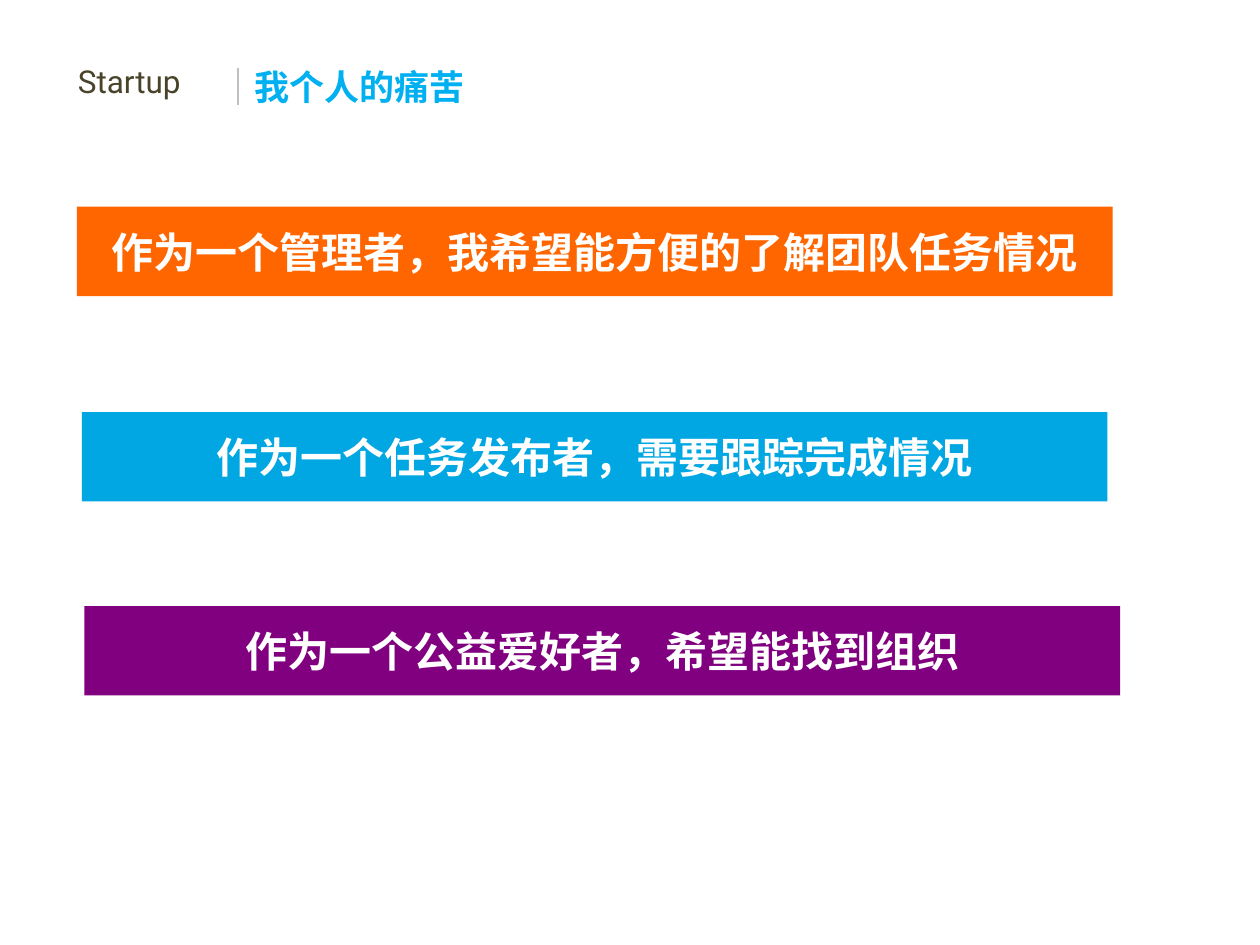
from lxml import etree
from pptx import Presentation
from pptx.dml.color import RGBColor
from pptx.enum.shapes import MSO_CONNECTOR, MSO_SHAPE
from pptx.enum.text import MSO_ANCHOR, PP_ALIGN
from pptx.oxml.ns import qn
from pptx.util import Inches, Pt

RECTANGLE = MSO_SHAPE.RECTANGLE
STRAIGHT = MSO_CONNECTOR.STRAIGHT
MIDDLE = MSO_ANCHOR.MIDDLE
LEFT, CENTER = PP_ALIGN.LEFT, PP_ALIGN.CENTER
TITLE_ONLY = 5


def color(value):
    return RGBColor.from_string(value)


class SlideBuilder:
    latin_font = "Roboto"
    chinese_font = "Noto Sans CJK SC"
    bar_height = 0.71

    def __init__(self, slide):
        self.slide = slide

    def set_text(self, shape, text, size, text_color, font, bold=False, align=LEFT):
        """Put one styled paragraph into a shape."""
        frame = shape.text_frame
        frame.text = text
        frame.word_wrap = True
        paragraph = frame.paragraphs[0]
        paragraph.alignment = align
        run = paragraph.runs[0]
        run.font.size = Pt(size)
        run.font.bold = bold
        run.font.name = font
        run.font.color.rgb = color(text_color)
        east_asian = etree.Element(qn("a:ea"), typeface=font)
        run.font._element.find(qn("a:latin")).addnext(east_asian)

    def title(self, text, left, top, width, height):
        title = self.slide.shapes.title
        title.left, title.top = Inches(left), Inches(top)
        title.width, title.height = Inches(width), Inches(height)
        self.set_text(title, text, 20, "00B0F0", self.chinese_font, bold=True)
        title.text_frame.vertical_anchor = MIDDLE

    def label(self, text, left, top, width, height):
        box = self.slide.shapes.add_textbox(
            Inches(left), Inches(top), Inches(width), Inches(height))
        self.set_text(box, text, 18, "494429", self.latin_font)

    def divider(self, x, top, bottom):
        line = self.slide.shapes.add_connector(
            STRAIGHT, Inches(x), Inches(top), Inches(x), Inches(bottom))
        line.line.color.rgb = color("BFBFBF")
        line.line.width = Pt(0.75)
        etree.SubElement(line._element.spPr, qn("a:effectLst"))

    def bar(self, text, left, top, width, fill):
        bar = self.slide.shapes.add_shape(
            RECTANGLE, Inches(left), Inches(top), Inches(width), Inches(self.bar_height))
        bar.shadow.inherit = False
        bar.fill.solid()
        bar.fill.fore_color.rgb = color(fill)
        bar.line.fill.background()
        self.set_text(bar, text, 24, "FFFFFF", self.chinese_font, bold=True, align=CENTER)
        bar.text_frame.vertical_anchor = MIDDLE


def main():
    presentation = Presentation()
    presentation.slide_width, presentation.slide_height = Inches(10), Inches(7.5)
    slide = presentation.slides.add_slide(presentation.slide_layouts[TITLE_ONLY])
    builder = SlideBuilder(slide)

    builder.divider(1.89, 0.54, 0.83)
    builder.label("Startup", 0.52, 0.44, 1.36, 0.4)
    builder.title("我个人的痛苦", 1.92, 0.53, 7.26, 0.32)

    pain_points = [
        ("作为一个管理者，我希望能方便的了解团队任务情况", 0.61, 1.64, 8.22, "FF6600"),
        ("作为一个任务发布者，需要跟踪完成情况", 0.65, 3.27, 8.14, "00A7E2"),
        ("作为一个公益爱好者，希望能找到组织", 0.67, 4.81, 8.22, "800080"),
    ]
    for text, left, top, width, fill in pain_points:
        builder.bar(text, left, top, width, fill)

    presentation.save("out.pptx")


if __name__ == "__main__":
    main()
